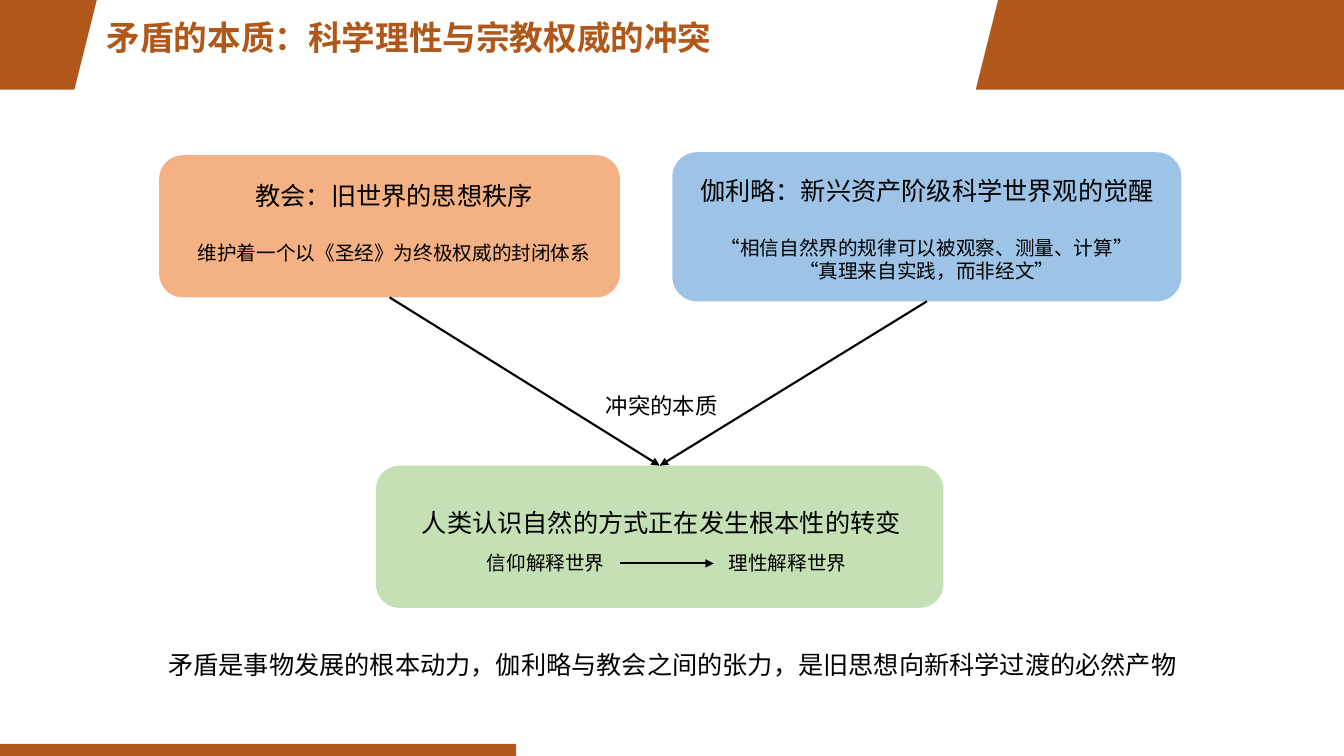
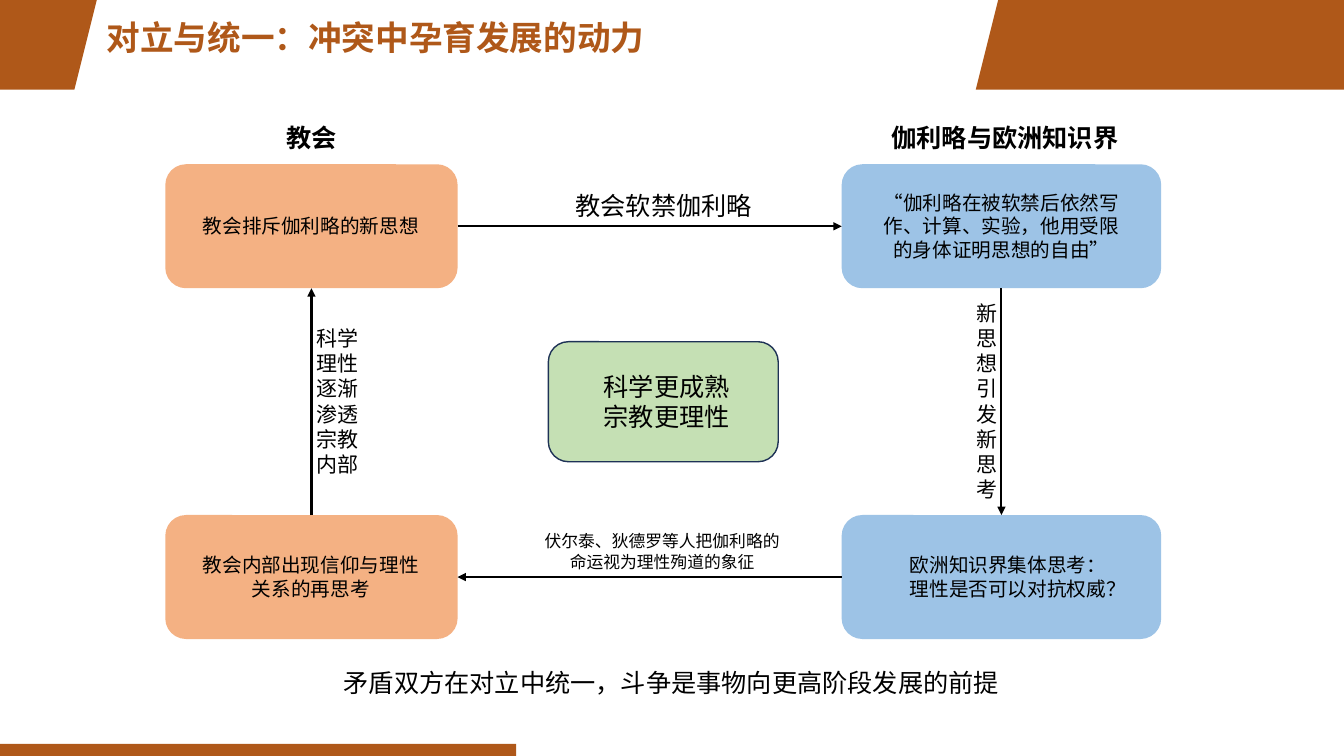
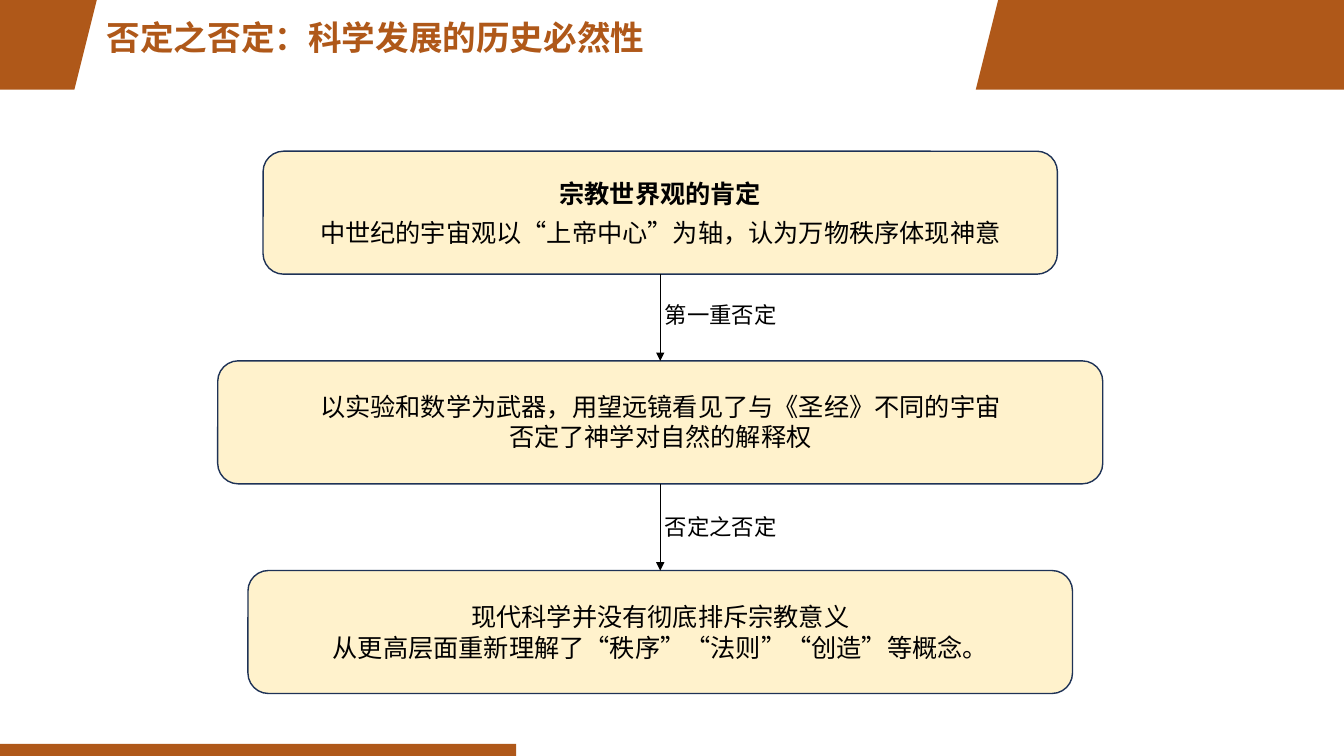
from dataclasses import dataclass

from lxml.etree import SubElement
from pptx import Presentation
from pptx.dml.color import RGBColor
from pptx.enum.shapes import MSO_CONNECTOR, MSO_SHAPE
from pptx.enum.text import PP_ALIGN
from pptx.oxml.ns import qn
from pptx.shapes.autoshape import Shape
from pptx.slide import Slide
from pptx.util import Inches, Pt

BROWN = RGBColor(0xAF, 0x58, 0x19)
ORANGE = RGBColor(0xF4, 0xB1, 0x83)
BLUE = RGBColor(0x9D, 0xC3, 0xE6)
GREEN = RGBColor(0xC5, 0xE0, 0xB4)
CREAM = RGBColor(0xFF, 0xF2, 0xCC)
NAVY = RGBColor(0x1E, 0x32, 0x56)
BLACK = RGBColor(0, 0, 0)

BODY_FONT = "Noto Sans CJK SC"
TITLE_FONT = "Times New Roman"

CELL = Inches(0.1)
COLUMNS, ROWS = 133.33, 75
TOP, LEFT, BOTTOM, RIGHT = range(4)


@dataclass(frozen=True)
class Area:
    column: float
    row: float
    columns: float
    rows: float

    def lengths(self) -> list[int]:
        return [round(n * CELL) for n in (self.column, self.row, self.columns, self.rows)]


@dataclass(frozen=True)
class Line:
    text: str
    size: float = 18
    bold: bool = False
    gap: float = 0
    color: RGBColor = BLACK
    font: str = BODY_FONT
    align: PP_ALIGN = PP_ALIGN.CENTER


@dataclass(frozen=True)
class Band:
    kind: MSO_SHAPE
    area: Area


BANDS = (
    Band(MSO_SHAPE.PARALLELOGRAM, Area(96.8, 0, 43.3, 8.9)),
    Band(MSO_SHAPE.PARALLELOGRAM, Area(-5.3, 0, 14.9, 8.9)),
    Band(MSO_SHAPE.RECTANGLE, Area(0, 73.8, 51.2, 1.4)),
)
TITLE_AREA = Area(9.6, 1.2, 62.6, 5)


def add_block(slide: Slide, kind: MSO_SHAPE, area: Area, fill: RGBColor,
              outline: RGBColor | None = None) -> Shape:
    shape = slide.shapes.add_shape(kind, *area.lengths())
    shape.shadow.inherit = False
    shape.fill.solid()
    shape.fill.fore_color.rgb = fill
    if outline is None:
        shape.line.fill.background()
    else:
        shape.line.color.rgb = outline
        shape.line.width = Pt(1)
    return shape


def add_panel(slide: Slide, area: Area, fill: RGBColor,
              outline: RGBColor | None = None) -> Shape:
    return add_block(slide, MSO_SHAPE.ROUNDED_RECTANGLE, area, fill, outline)


def add_label(slide: Slide, area: Area, *lines: Line) -> Shape:
    shape = slide.shapes.add_textbox(*area.lengths())
    frame = shape.text_frame
    frame.word_wrap = True
    for index, line in enumerate(lines):
        paragraph = frame.add_paragraph() if index else frame.paragraphs[0]
        paragraph.text = line.text
        paragraph.alignment = line.align
        if line.gap:
            paragraph.space_before = Pt(line.gap)
        font = paragraph.font
        font.name, font.size, font.bold = line.font, Pt(line.size), line.bold
        font.color.rgb = line.color
        properties = paragraph._p.pPr.find(qn("a:defRPr"))
        SubElement(properties, qn("a:ea")).set("typeface", BODY_FONT)
    return shape


def add_arrow(slide: Slide, start: Shape, start_side: int, end: Shape, end_side: int,
              width: float = 1.5) -> None:
    connector = slide.shapes.add_connector(MSO_CONNECTOR.STRAIGHT, 0, 0, 0, 0)
    connector.begin_connect(start, start_side)
    connector.end_connect(end, end_side)
    connector.line.color.rgb = BLACK
    connector.line.width = Pt(width)
    SubElement(connector.line._get_or_add_ln(), qn("a:tailEnd")).set("type", "triangle")
    SubElement(connector._element.spPr, qn("a:effectLst"))


def add_base(presentation: Presentation, title: str) -> Slide:
    slide = presentation.slides.add_slide(presentation.slide_layouts[6])
    for band in BANDS:
        add_block(slide, band.kind, band.area, BROWN)
    add_label(slide, TITLE_AREA, Line(title, 24, True, color=BROWN, font=TITLE_FONT,
                                      align=PP_ALIGN.LEFT))
    return slide


def add_essence(presentation: Presentation) -> None:
    slide = add_base(presentation, "矛盾的本质：科学理性与宗教权威的冲突")
    church = add_panel(slide, Area(15.8, 15.4, 45.7, 14.1), ORANGE)
    galileo = add_panel(slide, Area(66.7, 15.1, 50.5, 14.8), BLUE)
    change = add_panel(slide, Area(37.3, 46.2, 56.3, 14.1), GREEN)
    add_label(slide, Area(18.4, 17.4, 41.4, 9.4),
              Line("教会：旧世界的思想秩序"),
              Line("维护着一个以《圣经》为终极权威的封闭体系", 14, gap=21.6))
    add_label(slide, Area(66.7, 16.9, 50.5, 11.8),
              Line("伽利略：新兴资产阶级科学世界观的觉醒"),
              Line("“相信自然界的规律可以被观察、测量、计算”", 14, gap=21.6),
              Line("“真理来自实践，而非经文”", 14))
    add_label(slide, Area(40.1, 49.8, 51, 4), Line("人类认识自然的方式正在发生根本性的转变"))
    faith, reason = (
        add_label(slide, Area(column, 54.2, 14.7, 3.4), Line(text, 14))
        for column, text in ((46.8, "信仰解释世界"), (70.8, "理性解释世界"))
    )
    add_arrow(slide, faith, RIGHT, reason, LEFT)
    for side in (church, galileo):
        add_arrow(slide, side, BOTTOM, change, TOP)
    add_label(slide, Area(58.9, 38.4, 13.5, 3.7), Line("冲突的本质", 16))
    add_label(slide, Area(15.3, 63.9, 102.8, 4),
              Line("矛盾是事物发展的根本动力，伽利略与教会之间的张力，是旧思想向新科学过渡的必然产物"))


def add_unity(presentation: Presentation) -> None:
    slide = add_base(presentation, "对立与统一：冲突中孕育发展的动力")
    (reject, rethink), (write, reflect) = (
        [add_panel(slide, Area(column, row, columns, 12.3), fill) for row in (16.3, 51.1)]
        for column, columns, fill in ((16.4, 29, ORANGE), (83.5, 31.7, BLUE))
    )
    add_arrow(slide, reject, RIGHT, write, LEFT)
    add_arrow(slide, write, BOTTOM, reflect, TOP)
    add_arrow(slide, reflect, LEFT, rethink, RIGHT)
    add_arrow(slide, rethink, TOP, reject, BOTTOM)
    add_panel(slide, Area(54.4, 33.9, 22.8, 11.9), GREEN, NAVY)
    labels = (
        (Area(18.6, 11.6, 24.6, 4), Line("教会", bold=True)),
        (Area(87.1, 11.6, 25.2, 4), Line("伽利略与欧洲知识界", bold=True)),
        (Area(18.5, 20.7, 24.7, 3.4), Line("教会排斥伽利略的新思想", 14)),
        (Area(86.5, 18.4, 25.7, 8.1),
         Line("“伽利略在被软禁后依然写作、计算、实验，他用受限的身体证明思想的自由”", 14)),
        (Area(18.5, 54.4, 24.7, 5.7), Line("教会内部出现信仰与理性关系的再思考", 14)),
        (Area(88.4, 54.4, 23.2, 5.7), Line("欧洲知识界集体思考：理性是否可以对抗权威？", 14)),
        (Area(55.7, 18.4, 20.3, 4), Line("教会软禁伽利略")),
        (Area(95.6, 29.3, 4.6, 21.2), Line("新思想引发新思考", 15)),
        (Area(52.9, 52.2, 25.6, 5), Line("伏尔泰、狄德罗等人把伽利略的命运视为理性殉道的象征", 12)),
        (Area(30.1, 31.8, 6.7, 16.2), Line("科学理性逐渐渗透宗教内部", 15)),
        (Area(32.7, 65.7, 67.8, 4), Line("矛盾双方在对立中统一，斗争是事物向更高阶段发展的前提")),
    )
    for area, line in labels:
        add_label(slide, area, line)
    add_label(slide, Area(55.6, 36.3, 21.1, 7.1), Line("科学更成熟"), Line("宗教更理性"))


def add_negation(presentation: Presentation) -> None:
    slide = add_base(presentation, "否定之否定：科学发展的历史必然性")
    axis, first_row, step = 65.5, 15, 20.8
    stages = (
        (78.8, 2.2, Line("宗教世界观的肯定", bold=True),
         Line("中世纪的宇宙观以“上帝中心”为轴，认为万物秩序体现神意", gap=6)),
        (87.8, 2.5, Line("以实验和数学为武器，用望远镜看见了与《圣经》不同的宇宙"),
         Line("否定了神学对自然的解释权")),
        (81.8, 2.6, Line("现代科学并没有彻底排斥宗教意义"),
         Line("从更高层面重新理解了“秩序”“法则”“创造”等概念。")),
    )
    panels = []
    for index, (columns, inset, *lines) in enumerate(stages):
        row, column = first_row + index * step, axis - columns / 2
        panels.append(add_panel(slide, Area(column, row, columns, 12.2), CREAM, NAVY))
        add_label(slide, Area(column, row + inset, columns, 7.1), *lines)
    for upper, lower in zip(panels, panels[1:]):
        add_arrow(slide, upper, BOTTOM, lower, TOP, 0.75)
    for index, text in enumerate(("第一重否定", "否定之否定")):
        add_label(slide, Area(64.8, 29.4 + index * 21, 13.4, 3.7), Line(text, 16))


def main() -> None:
    presentation = Presentation()
    presentation.slide_width = round(COLUMNS * CELL)
    presentation.slide_height = ROWS * CELL
    for add_slide in (add_essence, add_unity, add_negation):
        add_slide(presentation)
    presentation.save("out.pptx")


if __name__ == "__main__":
    main()
